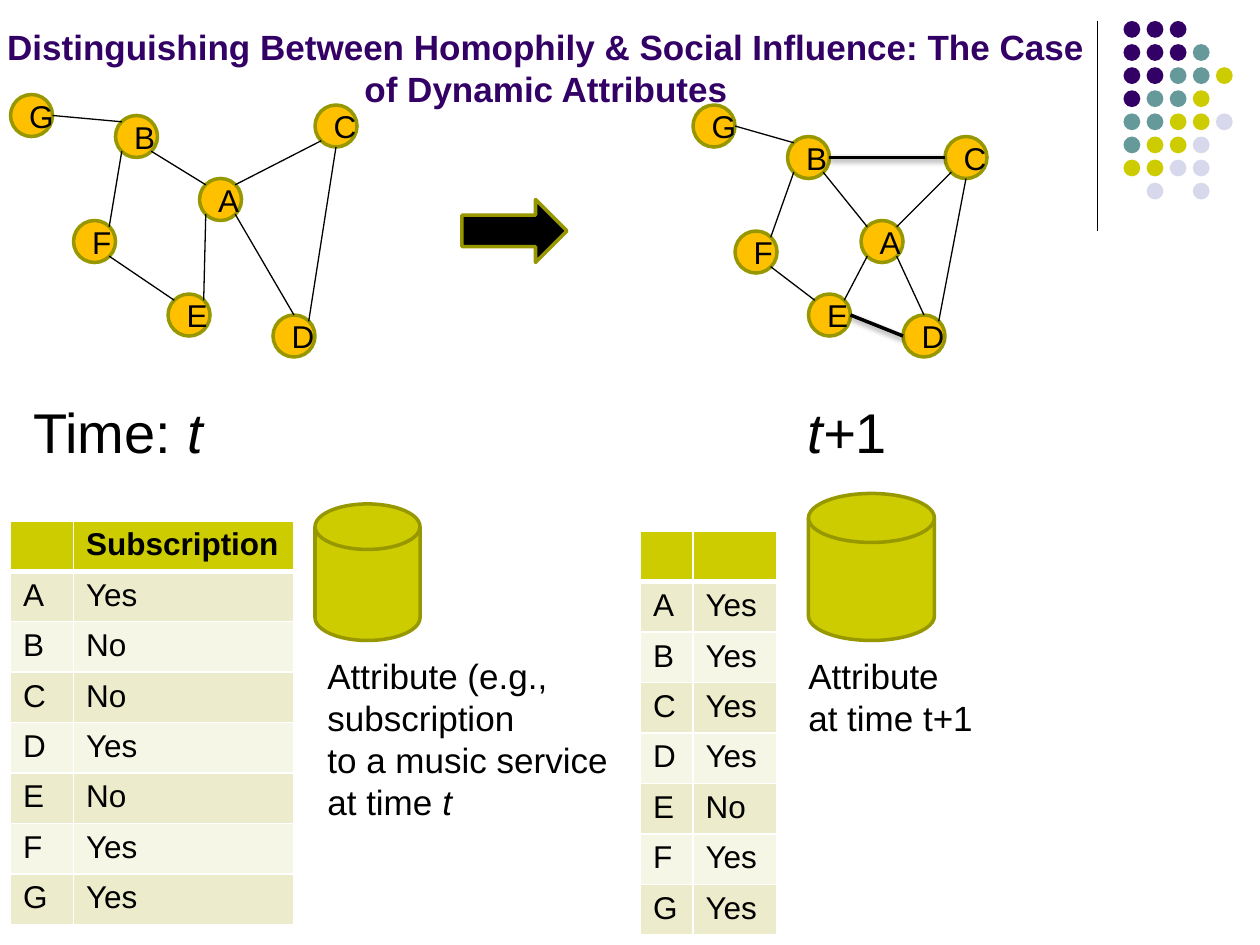
from lxml.etree import SubElement
from pptx import Presentation
from pptx.dml.color import RGBColor
from pptx.enum.shapes import MSO_CONNECTOR, MSO_SHAPE
from pptx.enum.text import MSO_ANCHOR, PP_ALIGN
from pptx.oxml import parse_xml
from pptx.oxml.ns import nsdecls, qn
from pptx.util import Emu, Inches, Pt

COLS, ROWS = 120, 90  # grid of twelve units to the inch
FONT = "Arial"
HEX = {"purple": "330066", "teal": "669999", "lime": "CCCC00", "lilac": "D8D8EC",
       "olive": "979700", "amber": "FFC000", "black": "000000", "white": "FFFFFF",
       "band1": "ECECCC", "band2": "F6F6E7"}
RGB = {name: RGBColor.from_string(value) for name, value in HEX.items()}

prs = Presentation()
prs.slide_width, prs.slide_height = Inches(10), Inches(7.5)
s = prs.slides.add_slide(prs.slide_layouts[6])


def grid(*units):
    return [Emu(round(n * prs.slide_width / COLS)) for n in units]


def add_line(start, end, width=0.75, shadow=False):
    c = s.shapes.add_connector(MSO_CONNECTOR.STRAIGHT, *grid(*start, *end))
    c.line.color.rgb = RGB["black"]
    c.line.width = Pt(width)
    inner = ('<a:outerShdw blurRad="40000" dist="20000" dir="5400000" rotWithShape="0">'
             f'<a:srgbClr val="{HEX["black"]}"><a:alpha val="38000"/></a:srgbClr>'
             '</a:outerShdw>') if shadow else ""
    c._element.spPr.append(parse_xml(f'<a:effectLst {nsdecls("a")}>{inner}</a:effectLst>'))


# Corner decoration: rule and dot pattern
add_line((104.5, 2), (104.5, 22))
DOTS = ["PPP", "PPPT", "PPTTY", "PTTY", "TTYYL", "TYYL", "YYLL", " L L"]
DOT_COLOURS = {"P": "purple", "T": "teal", "Y": "lime", "L": "lilac"}
for row, pattern in enumerate(DOTS):
    for col, key in enumerate(pattern):
        if key in DOT_COLOURS:
            sp = s.shapes.add_shape(MSO_SHAPE.OVAL, *grid(107 + 2.2 * col, 2 + 2.2 * row, 1.6, 1.6))
            sp.shadow.inherit = False
            sp.fill.solid()
            sp.fill.fore_color.rgb = RGB[DOT_COLOURS[key]]
            sp.line.fill.background()

# Networks: top left corner of each node
NODE = 4
GRAPHS = [
    {"B": (11, 11), "A": (19, 17), "E": (16, 28), "G": (1, 9),
     "F": (7, 21), "D": (26, 30), "C": (30, 10)},
    {"B": (75, 13), "A": (82, 21), "E": (77, 28), "G": (66, 10),
     "F": (70, 22), "D": (86, 30), "C": (90, 13)},
]
# Places on the node outline, from its top left corner
SIDE = {"n": (2, 0), "s": (2, 4), "w": (0, 2), "e": (4, 2),
        "nw": (0.6, 0.6), "ne": (3.4, 0.6), "sw": (0.6, 3.4), "se": (3.4, 3.4)}
EDGES = ["B se A nw", "G e B nw", "B sw F ne", "F se E nw",
         "E ne A sw", "A ne C sw", "A se D n", "C s D ne"]
NEW_EDGES = ["B e C w", "E e D w"]

# Nodes, arrow between the times, and attribute stores
shapes = [(MSO_SHAPE.OVAL, (*place, NODE, NODE), "amber", name)
          for graph in GRAPHS for name, place in graph.items()]
shapes += [
    (MSO_SHAPE.RIGHT_ARROW, (44, 19, 10, 6), "black", ""),
    (MSO_SHAPE.FLOWCHART_MAGNETIC_DISK, (30, 48, 10, 13), "lime", ""),
    (MSO_SHAPE.FLOWCHART_MAGNETIC_DISK, (77, 47, 12, 14), "lime", ""),
]
for kind, box, fill, label in shapes:
    sp = s.shapes.add_shape(kind, *grid(*box))
    sp.shadow.inherit = False
    sp.fill.solid()
    sp.fill.fore_color.rgb = RGB[fill]
    sp.line.color.rgb = RGB["olive"]
    sp.line.width = Pt(2)
    if label:
        tf = sp.text_frame
        tf.vertical_anchor = MSO_ANCHOR.MIDDLE
        p = tf.paragraphs[0]
        p.alignment = PP_ALIGN.CENTER
        r = p.add_run()
        r.text = label
        r.font.name, r.font.size = FONT, Pt(18)
        r.font.color.rgb = RGB["black"]

# Edges; the ones that are new at t+1 are heavy
for graph, new_edges in zip(GRAPHS, ([], NEW_EDGES)):
    for edge in EDGES + new_edges:
        a, a_side, b, b_side = edge.split()
        start, end = [(graph[n][0] + SIDE[d][0], graph[n][1] + SIDE[d][1])
                      for n, d in ((a, a_side), (b, b_side))]
        new = edge in new_edges
        add_line(start, end, 2 if new else 0.75, new)

# Texts: box, wrap, size, paragraphs of (text, italic) runs
TITLE = "Distinguishing Between Homophily & Social Influence: The Case of Dynamic Attributes"
TEXTS = [
    ((-2, -4, 108, 15), True, 20, [[(TITLE, False)]]),
    ((2, 37.3, 84.6, 7.7), True, 32, [[("Time: ", False), ("t\tt+", True), ("1", False)]]),
    ((30, 61.7, 30.2, 17.4), False, 20,
     [[("Attribute (e.g.,", False)], [("subscription", False)],
      [("to a music service", False)], [("at time ", False), ("t", True)]]),
    ((75.8, 61.7, 18.1, 9.2), False, 20, [[("Attribute", False)], [("at time t+1", False)]]),
]
for box, wrap, size, paragraphs in TEXTS:
    tf = s.shapes.add_textbox(*grid(*box)).text_frame
    tf.word_wrap = wrap
    is_title = paragraphs[0][0][0] == TITLE
    if is_title:
        tf.vertical_anchor = MSO_ANCHOR.BOTTOM
    for i, runs in enumerate(paragraphs):
        p = tf.add_paragraph() if i else tf.paragraphs[0]
        p.alignment = PP_ALIGN.CENTER if is_title else PP_ALIGN.LEFT
        if any("\t" in text for text, _ in runs):
            tabs = SubElement(p._p.get_or_add_pPr(), qn("a:tabLst"))
            SubElement(tabs, qn("a:tab"), pos=str(Inches(6.14)), algn="l")
        for text, italic in runs:
            r = p.add_run()
            r.text = text
            r.font.name, r.font.size = FONT, Pt(size)
            r.font.bold, r.font.italic = is_title, italic
            r.font.color.rgb = RGB["purple" if is_title else "black"]

# Attribute tables: left, top, column widths, heading, values for A to G
ROW = 4.8
TABLES = [
    (1, 49.6, (6, 21), "Subscription", "Yes No No Yes No Yes Yes"),
    (61, 50.6, (5, 8), "", "Yes Yes Yes Yes No Yes Yes"),
]
for left, top, widths, heading, values in TABLES:
    rows = [("", heading), *zip("ABCDEFG", values.split())]
    table = s.shapes.add_table(len(rows), 2, *grid(left, top, sum(widths), ROW * len(rows))).table
    for column, width in zip(table.columns, grid(*widths)):
        column.width = width
    for i, row in enumerate(rows):
        table.rows[i].height = grid(ROW)[0]
        for j, text in enumerate(row):
            cell = table.cell(i, j)
            tcPr = cell._tc.get_or_add_tcPr()
            for side in "LRTB":
                heavy = (i, side) in ((0, "B"), (1, "T"))
                ln = SubElement(tcPr, qn(f"a:ln{side}"), w=str(Pt(3 if heavy else 1)))
                SubElement(SubElement(ln, qn("a:solidFill")), qn("a:srgbClr"), val=HEX["white"])
            cell.fill.solid()
            cell.fill.fore_color.rgb = RGB["lime" if i == 0 else "band1" if i % 2 else "band2"]
            if text:
                r = cell.text_frame.paragraphs[0].add_run()
                r.text = text
                r.font.name, r.font.size, r.font.bold = FONT, Pt(18), i == 0
                r.font.color.rgb = RGB["black"]

prs.save("out.pptx")
